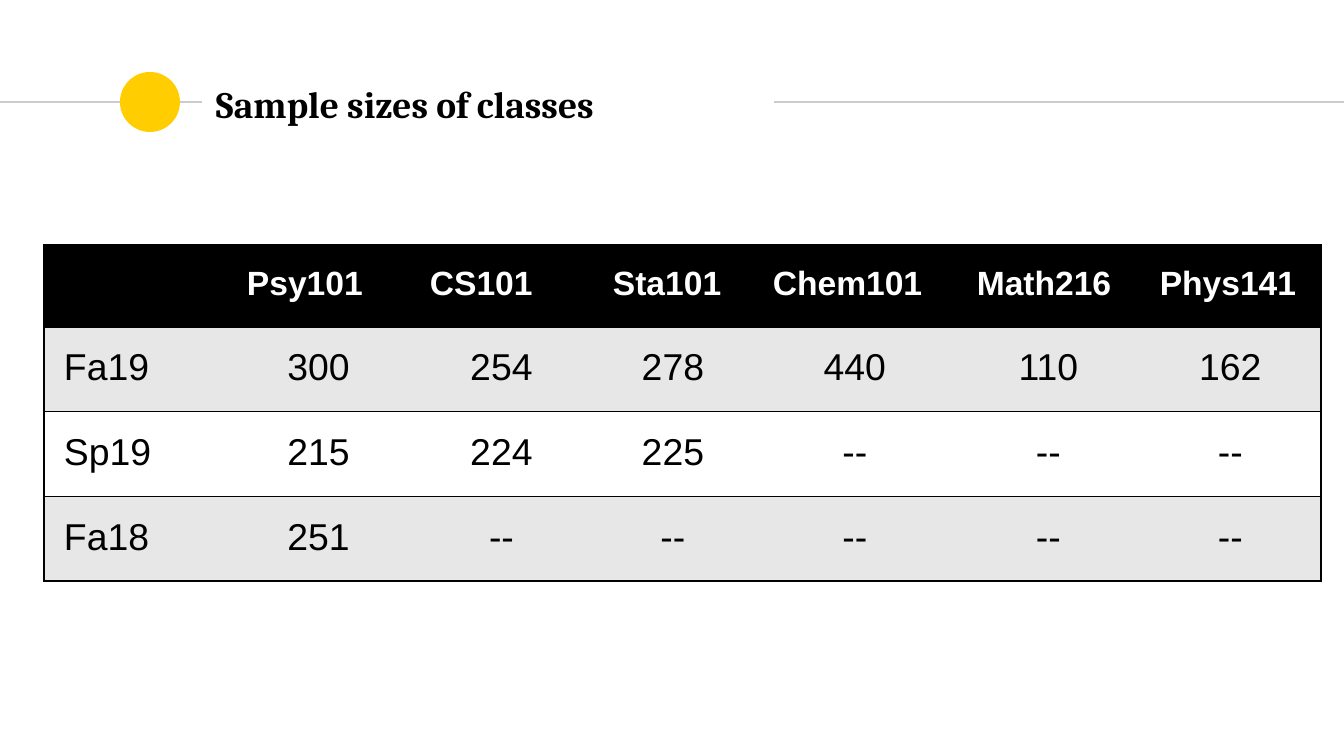
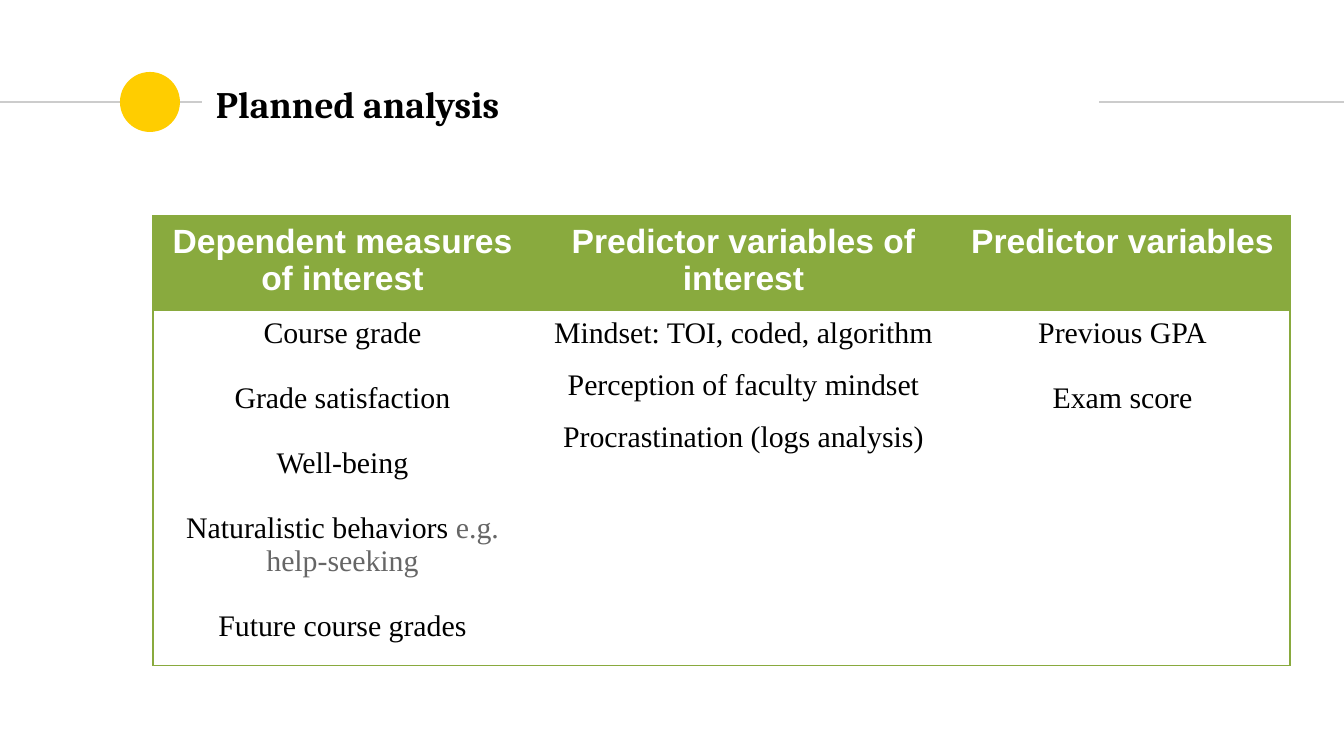
from lxml import etree
from pptx import Presentation
from pptx.dml.color import RGBColor
from pptx.enum.shapes import MSO_CONNECTOR, MSO_SHAPE
from pptx.enum.text import MSO_ANCHOR, PP_ALIGN
from pptx.oxml.ns import qn
from pptx.util import Emu, Pt

LEFT, CENTER = PP_ALIGN.LEFT, PP_ALIGN.CENTER
TOP, MIDDLE = MSO_ANCHOR.TOP, MSO_ANCHOR.MIDDLE
STRAIGHT, OVAL = MSO_CONNECTOR.STRAIGHT, MSO_SHAPE.OVAL

BLACK = RGBColor(0x00, 0x00, 0x00)
WHITE = RGBColor(0xFF, 0xFF, 0xFF)
GOLD = RGBColor(0xFF, 0xCD, 0x00)
RULE = RGBColor(0xCC, 0xCC, 0xCC)
BAND = RGBColor(0xE7, 0xE7, 0xE7)
GREEN = RGBColor(0x89, 0xAA, 0x3E)
GRAY = RGBColor(0x66, 0x66, 0x66)

SERIF, SANS, ROMAN = "Cambria", "Arial", "Times New Roman"
PLAIN = "{2D5ABB26-0587-4C30-8999-92F81FD0307C}"  # no style, no grid
WIDE, HIGH = 1344, 756

# Content: class sizes by term
SIZES = [
    ("", "Psy101", "CS101", "Sta101", "Chem101", "Math216", "Phys141"),
    ("Fa19", "300", "254", "278", "440", "110", "162"),
    ("Sp19", "215", "224", "225", "--", "--", "--"),
    ("Fa18", "251", "--", "--", "--", "--", "--"),
]

# Content: heading, gap between items in points, items (a tuple holds runs)
PLAN = [
    ("Dependent measures of interest", 17,
     ["Course grade", "Grade satisfaction", "Well-being",
      (("Naturalistic behaviors ", BLACK), ("e.g. help-seeking", GRAY)),
      "Future course grades"]),
    ("Predictor variables of interest", 10,
     ["Mindset: TOI, coded, algorithm", "Perception of faculty mindset",
      "Procrastination (logs analysis)"]),
    ("Predictor variables", 17, ["Previous GPA", "Exam score"]),
]


def px(n):
    return Emu(round(n * 914400 / 134.4))


def write(frame, items, font=SANS, size=18, color=BLACK, bold=False,
          align=LEFT, gap=0):
    """Put one paragraph per item in a text frame."""
    for i, item in enumerate(items):
        para = frame.add_paragraph() if i else frame.paragraphs[0]
        para.alignment = align
        if i and gap:
            para.space_before = Pt(gap)
        runs = ((item, color),) if isinstance(item, str) else item
        for text, tint in runs:
            run = para.add_run()
            run.text = text
            run.font.name, run.font.size = font, Pt(size)
            run.font.bold, run.font.color.rgb = bold, tint


def add_rule(slide, x1, x2, y):
    line = slide.shapes.add_connector(STRAIGHT, px(x1), px(y), px(x2), px(y))
    line.line.color.rgb, line.line.width = RULE, Pt(0.75)
    etree.SubElement(line._element.spPr, qn("a:effectLst"))


def add_head(deck, title, width):
    """Start a slide with its rule, gold dot and title."""
    slide = deck.slides.add_slide(deck.slide_layouts[6])
    add_rule(slide, 0, 202, 102)
    add_rule(slide, 774, WIDE, 102)
    dot = slide.shapes.add_shape(OVAL, px(120), px(72), px(60), px(60))
    dot.shadow.inherit = False
    dot.fill.solid()
    dot.fill.fore_color.rgb = GOLD
    dot.line.fill.background()

    box = slide.shapes.add_textbox(px(203), px(71), px(width), px(65))
    box.fill.solid()
    box.fill.fore_color.rgb = WHITE
    frame = box.text_frame
    frame.word_wrap, frame.vertical_anchor = True, MIDDLE
    frame.margin_left = frame.margin_right = px(13)
    frame.margin_top = frame.margin_bottom = px(13)
    write(frame, [title], font=SERIF, size=20, bold=True)
    return slide


def add_grid(slide, x, y, cols, rows):
    """Add an unstyled table with the given column and row lengths."""
    table = slide.shapes.add_table(
        len(rows), len(cols), px(x), px(y), px(sum(cols)), px(sum(rows))).table
    table.first_row = table.horz_banding = False
    table._tbl.tblPr.find(qn("a:tableStyleId")).text = PLAIN
    for col, width in zip(table.columns, cols):
        col.width = px(width)
    for row, height in zip(table.rows, rows):
        row.height = px(height)
    return table


def dress(table, r, c, fill, edge, width):
    """Fill a cell; draw its top and bottom, and the table's outer sides."""
    cell = table.cell(r, c)
    cell.vertical_anchor = TOP
    props = cell._tc.get_or_add_tcPr()
    sides = ["lnL"] * (c == 0) + ["lnR"] * (c == len(table.columns) - 1)
    for side in sides + ["lnT", "lnB"]:
        line = etree.SubElement(props, qn("a:" + side), w=str(Pt(width)))
        solid = etree.SubElement(line, qn("a:solidFill"))
        etree.SubElement(solid, qn("a:srgbClr"), val=str(edge))
    cell.fill.solid()
    cell.fill.fore_color.rgb = fill
    return cell


def add_sizes(deck):
    slide = add_head(deck, "Sample sizes of classes", 570)
    table = add_grid(slide, 44, 245, [183, 183, 183, 160, 204, 183, 181],
                     [82] * len(SIZES))
    for r, row in enumerate(SIZES):
        fill = BLACK if r == 0 else BAND if r % 2 else WHITE
        for c, text in enumerate(row):
            cell = dress(table, r, c, fill, BLACK, 1)
            cell.margin_left = cell.margin_right = px(20)
            cell.margin_top = cell.margin_bottom = px(20)
            if r == 0 and text:
                write(cell.text_frame, [text], color=WHITE, bold=True)
            elif text:
                write(cell.text_frame, [text], size=20,
                      align=CENTER if c else LEFT)


def add_plan(deck):
    slide = add_head(deck, "Planned analysis", 896)
    table = add_grid(slide, 153, 216, [379, 423, 335], [89, 345])
    for c, (name, gap, items) in enumerate(PLAN):
        head = dress(table, 0, c, GREEN, GREEN, 0.75)
        write(head.text_frame, [name], color=WHITE, bold=True, align=CENTER)
        body = dress(table, 1, c, WHITE, GREEN, 0.75)
        write(body.text_frame, items, font=ROMAN, size=16, align=CENTER,
              gap=gap)


def main():
    deck = Presentation()
    deck.slide_width, deck.slide_height = px(WIDE), px(HIGH)
    add_sizes(deck)
    add_plan(deck)
    deck.save("out.pptx")


if __name__ == "__main__":
    main()
